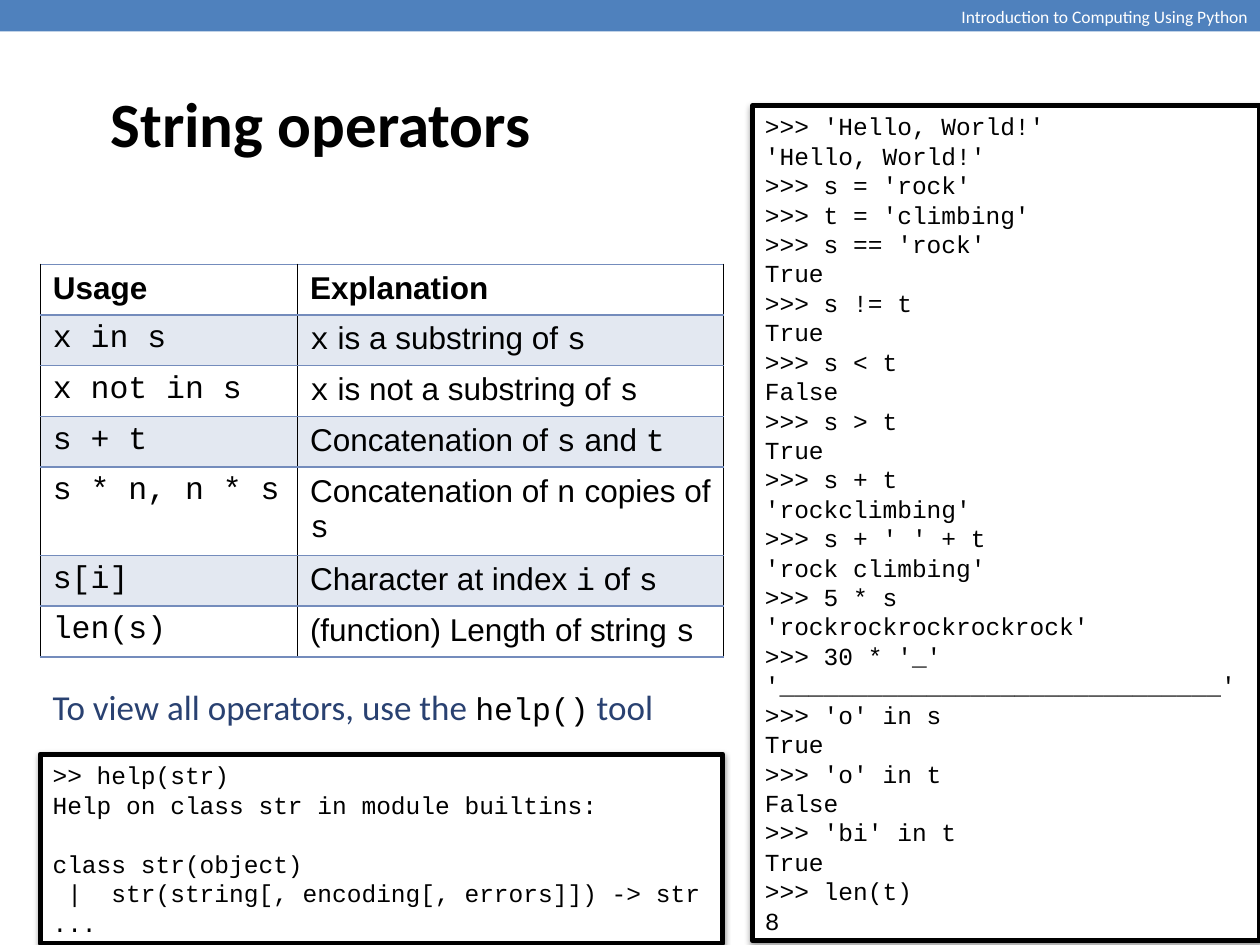
from lxml import etree
from pptx import Presentation
from pptx.dml.color import RGBColor
from pptx.enum.shapes import MSO_SHAPE
from pptx.enum.text import MSO_ANCHOR, PP_ALIGN
from pptx.oxml.ns import qn
from pptx.util import Pt

RECTANGLE = MSO_SHAPE.RECTANGLE
MIDDLE, TOP = MSO_ANCHOR.MIDDLE, MSO_ANCHOR.TOP
LEFT, RIGHT = PP_ALIGN.LEFT, PP_ALIGN.RIGHT

BLACK = RGBColor(0x00, 0x00, 0x00)
WHITE = RGBColor(0xFF, 0xFF, 0xFF)
BAND_BLUE = RGBColor(0x4F, 0x81, 0xBD)
TABLE_BLUE = RGBColor(0x74, 0x8C, 0xBC)
NOTE_BLUE = RGBColor(0x29, 0x41, 0x71)

# Backticks mark code inside a text
OPERATORS = [
    ("Usage", "Explanation"),
    ("`x in s`", "`x` is a substring of `s`"),
    ("`x not in s`", "`x` is not a substring of `s`"),
    ("`s + t`", "Concatenation of `s` and `t`"),
    ("`s * n, n * s`", "Concatenation of `n` copies of `s`"),
    ("`s[i]`", "Character at index `i` of `s`"),
    ("`len(s)`", "(function) Length of string `s`"),
]

SESSION = """\
>>> 'Hello, World!'
'Hello, World!'
>>> s = 'rock'
>>> t = 'climbing'
>>> s == 'rock'
True
>>> s != t
True
>>> s < t
False
>>> s > t
True
>>> s + t
'rockclimbing'
>>> s + ' ' + t
'rock climbing'
>>> 5 * s
'rockrockrockrockrock'
>>> 30 * '_'
'______________________________'
>>> 'o' in s
True
>>> 'o' in t
False
>>> 'bi' in t
True
>>> len(t)
8"""

HELP_OUTPUT = """\
>> help(str)
Help on class str in module builtins:

class str(object)
 |  str(string[, encoding[, errors]]) -> str
..."""


def add_element(parent, tag, **attributes):
    element = etree.SubElement(parent, qn(tag))
    for name, value in attributes.items():
        element.set(name, str(value))
    return element


class SlideBuilder:
    heading_font = "Calibri"
    body_font = "Arial"
    code_font = "Courier New"
    code_size = 14
    code_pitch = 16.8
    inline_code_size = 18

    def __init__(self, page):
        self.page = page

    def set_font(self, font, name, size, color, bold=False):
        font.name, font.size, font.bold = name, Pt(size), bold
        font.color.rgb = color

    def add_spans(self, para, text, name, size, color, bold=False):
        for index, part in enumerate(text.split("`")):
            if not part:
                continue
            span = para.add_run()
            span.text = part
            if index % 2:
                self.set_font(span.font, self.code_font, self.inline_code_size, BLACK)
            else:
                self.set_font(span.font, name, size, color, bold)

    def title(self, text, left, top, width, height):
        box = self.page.shapes.title
        box.left, box.top, box.width, box.height = map(Pt, (left, top, width, height))
        frame = box.text_frame
        frame.vertical_anchor = MIDDLE
        frame.margin_top = Pt(27)
        frame.text = text
        para = frame.paragraphs[0]
        para.alignment = LEFT
        self.set_font(para.font, self.heading_font, 36, BLACK, bold=True)

    def rectangle(self, left, top, width, height, color):
        box = self.page.shapes.add_shape(RECTANGLE, *map(Pt, (left, top, width, height)))
        box.shadow.inherit = False
        box.fill.solid()
        box.fill.fore_color.rgb = color
        box.line.fill.background()
        return box

    def label(self, text, left, top, width, height, size, color, align=LEFT, anchor=TOP):
        box = self.page.shapes.add_textbox(*map(Pt, (left, top, width, height)))
        frame = box.text_frame
        frame.word_wrap = True
        frame.vertical_anchor = anchor
        para = frame.paragraphs[0]
        para.alignment = align
        self.add_spans(para, text, self.heading_font, size, color)

    def console(self, code, left, top, width, height):
        box = self.rectangle(left, top, width, height, WHITE)
        box.line.color.rgb = BLACK
        box.line.width = Pt(3)
        effects = box._element.spPr.find(qn("a:effectLst"))
        shadow = add_element(effects, "a:outerShdw", blurRad=Pt(3.1), dist=Pt(1.6),
                             dir=5400000, rotWithShape=0)
        color = add_element(shadow, "a:srgbClr", val=BLACK)
        add_element(color, "a:alpha", val=38000)
        frame = box.text_frame
        frame.word_wrap = True
        frame.vertical_anchor = MIDDLE
        para, gap = frame.paragraphs[0], 0
        for index, line in enumerate(code.split("\n")):
            # An empty line becomes space before the next one
            if not line:
                gap += self.code_pitch
                continue
            if index:
                para = frame.add_paragraph()
            para.text = line
            para.alignment = LEFT
            para.line_spacing = Pt(self.code_pitch)
            para.space_before = Pt(gap)
            self.set_font(para.font, self.code_font, self.code_size, BLACK)
            gap = 0

    def style_cell(self, cell, shaded):
        properties = cell._tc.get_or_add_tcPr()
        sides = (("a:lnL", BLACK, 0.75), ("a:lnR", BLACK, 0.75),
                 ("a:lnT", TABLE_BLUE, 0.96), ("a:lnB", TABLE_BLUE, 0.96))
        for tag, color, width in sides:
            line = add_element(properties, tag, w=Pt(width))
            add_element(add_element(line, "a:solidFill"), "a:srgbClr", val=color)
        if shaded:
            fill = add_element(properties, "a:solidFill")
            color = add_element(fill, "a:srgbClr", val=TABLE_BLUE)
            add_element(color, "a:alpha", val=20000)
        else:
            cell.fill.background()

    def table(self, rows, left, top, column_widths, row_heights):
        size = sum(column_widths), sum(row_heights)
        table = self.page.shapes.add_table(
            len(rows), len(column_widths), *map(Pt, (left, top, *size))).table
        for column, width in zip(table.columns, column_widths):
            column.width = Pt(width)
        for row_index, (row, height) in enumerate(zip(rows, row_heights)):
            table.rows[row_index].height = Pt(height)
            for column_index, text in enumerate(row):
                cell = table.cell(row_index, column_index)
                self.style_cell(cell, shaded=row_index % 2 == 1)
                self.add_spans(cell.text_frame.paragraphs[0], text, self.body_font,
                               18, BLACK, bold=row_index == 0)


def main():
    deck = Presentation()
    deck.slide_width, deck.slide_height = Pt(720), Pt(540)
    builder = SlideBuilder(deck.slides.add_slide(deck.slide_layouts[5]))

    # Course band and title
    builder.rectangle(0, 0, 720, 18, BAND_BLUE)
    builder.label("Introduction to Computing Using Python", 540, 0, 180, 31,
                  10, WHITE, align=RIGHT)
    builder.title("String operators", 56, 0, 612, 116)

    # Interpreter session
    builder.console(SESSION, 430, 60.5, 290, 477)

    # Operator table
    builder.table(OPERATORS, 23, 151, (147, 243.5), (29, 29, 29, 29, 50.4, 29, 29))

    # Help tool
    builder.console(HELP_OUTPUT, 23, 431, 390, 108)
    builder.label("To view all operators, use the `help()` tool", 23, 376.5, 371, 55,
                  20, NOTE_BLUE, anchor=MIDDLE)

    deck.save("out.pptx")


if __name__ == "__main__":
    main()
